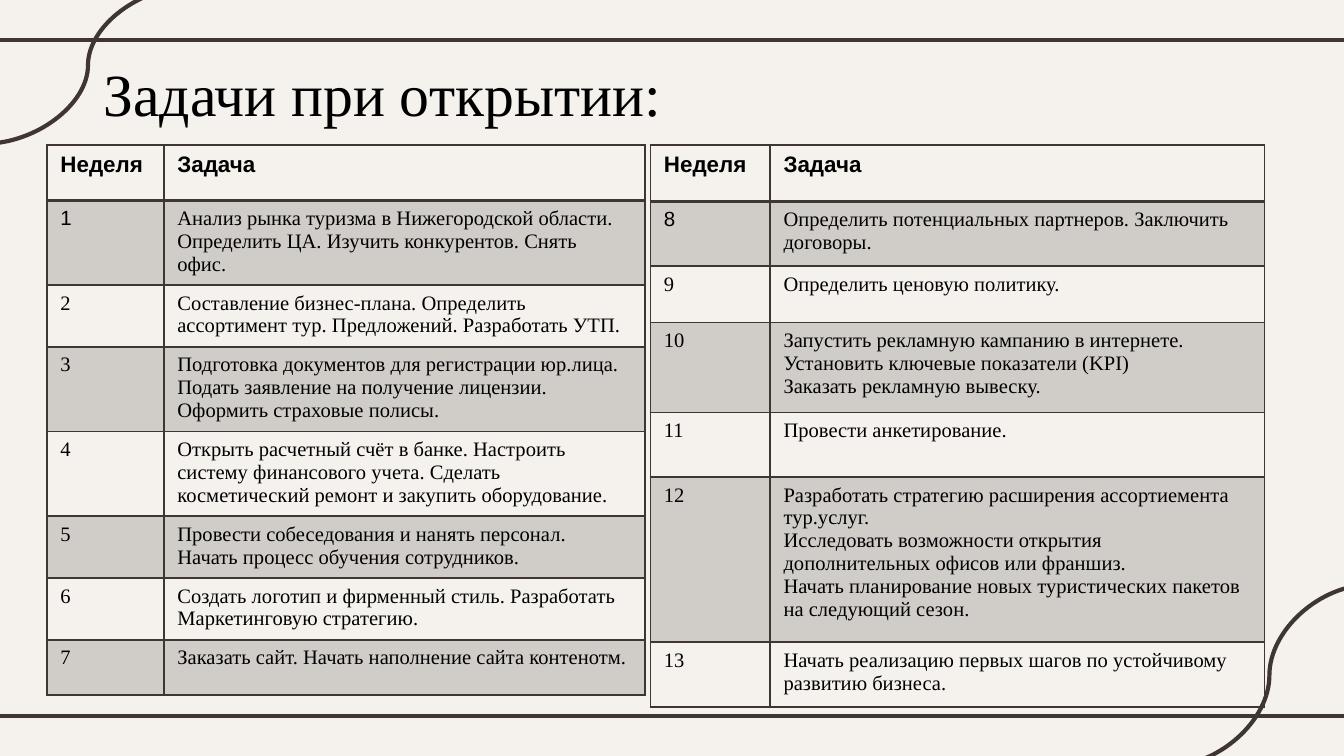
"""Build a slide with a two-table weekly plan of launch tasks."""
from lxml.etree import SubElement
from pptx import Presentation
from pptx.dml.color import RGBColor
from pptx.enum.shapes import MSO_CONNECTOR as CONN
from pptx.enum.text import MSO_ANCHOR, PP_ALIGN
from pptx.oxml.ns import qn
from pptx.util import Inches, Pt

DARK, BLACK, PAPER = "3F3533", "000000", "F5F2EE"
SERIF, SANS = "Times New Roman", "Arial"


def color(value):
    return RGBColor.from_string(value)


def border(cell, index, side, width):
    pr = cell._tc.get_or_add_tcPr()
    ln = SubElement(pr, qn(f"a:ln{side}"), w=str(Pt(width)))
    SubElement(SubElement(ln, qn("a:solidFill")), qn("a:srgbClr"), val=DARK)
    pr.insert(index, ln)


prs = Presentation()
prs.slide_width = Inches(10)
prs.slide_height = prs.slide_width * 9 // 16
s = prs.slides.add_slide(prs.slide_layouts[5])
s.background.fill.solid()
s.background.fill.fore_color.rgb = color(PAPER)

decor = [
    (CONN.STRAIGHT, -0.08, 0.3, 10.08, 0.3),
    (CONN.STRAIGHT, -0.08, 5.33, 10.08, 5.33),
    (CONN.CURVE, 10.2, 4.35, 8.69, 5.7),
    (CONN.CURVE, 1.43, -0.1, -0.12, 1.07),
]
for kind, *ends in decor:
    c = s.shapes.add_connector(kind, *[Inches(v) for v in ends])
    c.line.color.rgb = color(DARK)
    c.line.width = Pt(2.25)
    SubElement(c._element.spPr, qn("a:effectLst"))

title = s.shapes.title
title.left, title.top, title.width, title.height = [Inches(v) for v in (0.67, 0.37, 9.06, 1.04)]
tf = title.text_frame
tf.text = "Задачи при открытии:"
tf.vertical_anchor = MSO_ANCHOR.TOP
tf.margin_left = tf.margin_right = Inches(0.1)
tf.margin_top = tf.margin_bottom = Inches(0.05)
p = tf.paragraphs[0]
p.alignment = PP_ALIGN.LEFT
f = p.runs[0].font
f.name, f.size, f.color.rgb = SERIF, Pt(32), color(BLACK)

plans = [
    (0.35, 4.16, (0.87, 3.58), (0.41,) * 8, 1, [
        "Анализ рынка туризма в Нижегородской области. Определить ЦА. Изучить конкурентов. Снять офис.",
        "Составление бизнес-плана. Определить ассортимент тур. Предложений. Разработать УТП.",
        "Подготовка документов для регистрации юр.лица. Подать заявление на получение лицензии. "
        "Оформить страховые полисы.",
        "Открыть расчетный счёт в банке. Настроить систему финансового учета. "
        "Сделать косметический ремонт и закупить оборудование.",
        "Провести собеседования и нанять персонал. Начать процесс обучения сотрудников.",
        "Создать логотип и фирменный стиль. Разработать Маркетинговую стратегию.",
        "Заказать сайт. Начать наполнение сайта контенотм.",
    ]),
    (4.84, 4.17, (0.89, 3.68), (0.42, 0.48, 0.42, 0.67, 0.48, 1.23, 0.48), 8, [
        "Определить потенциальных партнеров. Заключить договоры.",
        "Определить ценовую политику.",
        "Запустить рекламную кампанию в интернете. Установить ключевые показатели (KPI)\n"
        "Заказать рекламную вывеску.",
        "Провести анкетирование.",
        "Разработать стратегию расширения ассортиемента тур.услуг.\n"
        "Исследовать возможности открытия дополнительных офисов или франшиз.\n"
        "Начать планирование новых туристических пакетов на следующий сезон.",
        "Начать реализацию первых шагов по устойчивому развитию бизнеса.",
    ]),
]
for left, total, widths, heights, first_week, tasks in plans:
    rows = [("Неделя", "Задача")]
    rows += [(str(week), task) for week, task in enumerate(tasks, first_week)]
    frame = s.shapes.add_table(len(rows), 2, Inches(left), Inches(1.08),
                               Inches(sum(widths)), Inches(total))
    table = frame.table
    for col, width in zip(table.columns, widths):
        col.width = Inches(width)
    for i, (row, height, texts) in enumerate(zip(table.rows, heights, rows)):
        row.height = Inches(height)
        for j, (cell, text) in enumerate(zip(row.cells, texts)):
            cell.text = text
            cell.margin_left, cell.margin_right = Inches(0.1), Inches(0.12)
            cell.margin_top, cell.margin_bottom = Inches(0.05), Inches(0.07)
            if i % 2:
                cell.fill.solid()
                cell.fill.fore_color.rgb = color(DARK)
                clr = cell._tc.tcPr.find(".//" + qn("a:srgbClr"))
                SubElement(clr, qn("a:alpha"), val="20000")
            else:
                cell.fill.background()
            sides = {"L": 1, "R": 1, "T": 2 if i == 1 else 1, "B": 2 if i == 0 else 1}
            for k, (side, width) in enumerate(sides.items()):
                border(cell, k, side, width)
            sans = i == 0 or (i == 1 and j == 0)
            for p in cell.text_frame.paragraphs:
                f = p.runs[0].font
                f.name = SANS if sans else SERIF
                f.size = Pt(11 if i else 12)
                f.bold = i == 0
                f.color.rgb = color(BLACK)
    frame.height = Inches(total)

prs.save("out.pptx")
